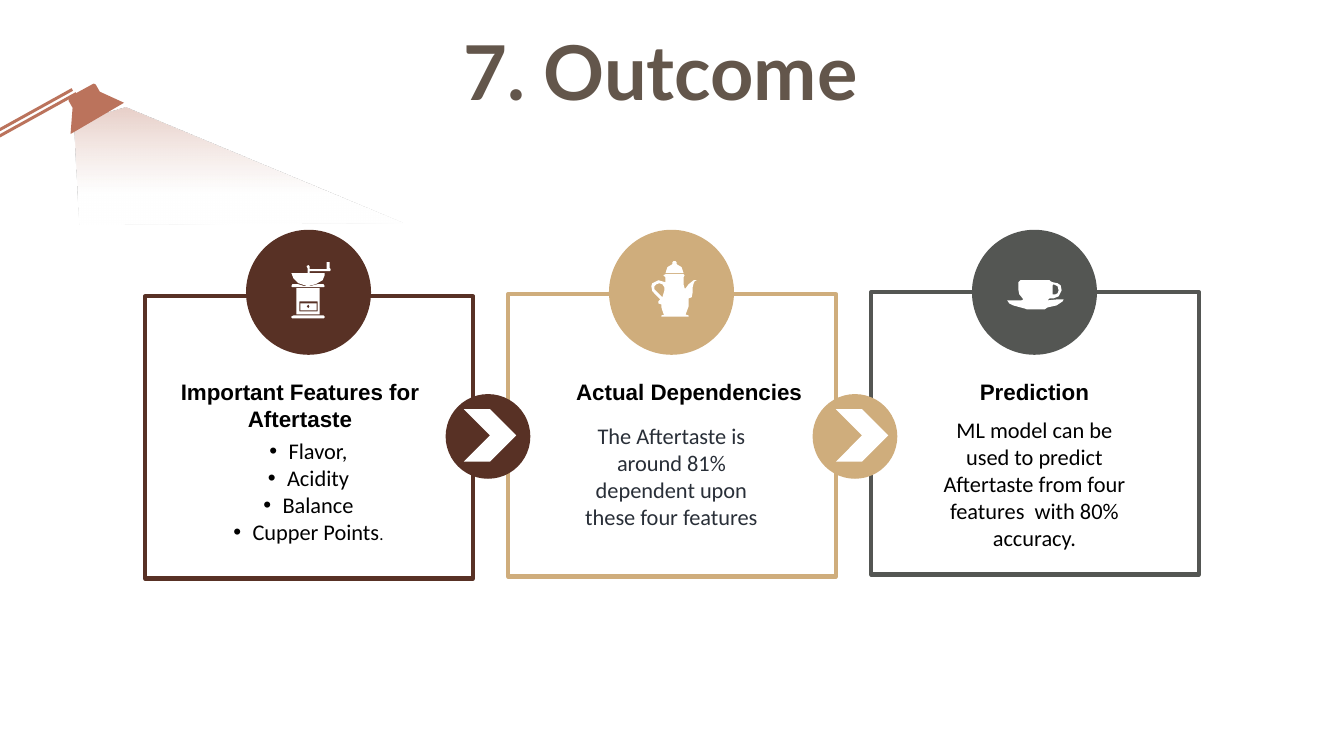
import pptx
import pptx.dml.color
import pptx.enum.shapes
import pptx.enum.text
import pptx.oxml
import pptx.oxml.ns
import pptx.util

RGBColor = pptx.dml.color.RGBColor
SHAPE = pptx.enum.shapes.MSO_SHAPE
ANCHOR = pptx.enum.text.MSO_ANCHOR

BROWN = RGBColor(0x58, 0x31, 0x25)
TAN = RGBColor(0xCF, 0xAD, 0x7C)
GREY = RGBColor(0x54, 0x56, 0x53)
TITLE = RGBColor(0x63, 0x56, 0x4B)
INK = RGBColor(0x29, 0x2F, 0x38)
LAMP = RGBColor(0xBB, 0x73, 0x5C)
GLOW = RGBColor(0xE8, 0xD0, 0xC9)
WHITE = RGBColor(0xFF, 0xFF, 0xFF)
BLACK = RGBColor(0, 0, 0)

PX = 9144  # EMU in one px, 100 px to the inch

# Icon outlines: each part is a list of contours, later contours cut holes
GRINDER = [
    # handle and bowl
    [[(328, 268), (327, 269), (307, 269), (307, 271), (322, 271), (322, 273), (320, 278),
      (313, 282), (305, 284), (296, 281), (291, 276), (289, 271), (305, 271), (305, 266),
      (304, 264), (306, 263), (307, 264), (307, 267), (324, 267), (324, 260), (327, 260),
      (327, 266), (328, 267)]],
    # base
    [[(290, 316), (289, 315), (289, 314), (291, 313), (321, 313), (322, 314), (322, 315),
      (321, 316)]],
    # body with drawer opening
    [[(294, 286), (317, 286), (317, 312), (294, 312)],
     [(297, 299), (315, 299), (315, 309), (297, 309)]],
    # collar
    [[(290, 285), (289, 284), (290, 282), (296, 282), (302, 284), (307, 284), (315, 282),
      (321, 282), (322, 284), (321, 285)]],
    # drawer with knob
    [[(298, 301), (314, 301), (314, 308), (298, 308)],
     [(306, 306), (307, 304), (306, 302), (304, 304)]],
]
TEAPOT = [
    # lid
    [[(660, 271), (662, 265), (667, 262), (667, 260), (668, 259), (670, 259), (671, 260),
      (671, 262), (676, 265), (678, 271)]],
    # body, spout and handle opening
    [[(691, 278), (688, 278), (683, 282), (680, 286), (679, 286), (678, 282), (678, 275),
      (679, 273), (678, 272), (660, 272), (658, 273), (660, 275), (660, 280), (653, 278),
      (647, 281), (646, 284), (647, 289), (650, 292), (653, 295), (655, 297), (653, 299),
      (653, 301), (656, 302), (656, 305), (658, 311), (659, 312), (656, 313), (656, 314),
      (683, 314), (683, 313), (680, 312), (683, 304), (683, 296), (686, 295), (687, 290),
      (687, 285), (688, 281), (689, 279)],
     [(657, 295), (654, 292), (649, 287), (649, 284), (651, 282), (654, 281), (657, 282),
      (659, 285), (659, 288)]],
]
CUP = [
    # cup on saucer, with handle opening
    [[(1043, 296), (1045, 296), (1050, 294), (1053, 288), (1052, 283), (1049, 281), (1044, 280),
      (1042, 279), (1041, 278), (1012, 278), (1010, 280), (1010, 287), (1011, 292), (1015, 297),
      (1013, 298), (999, 298), (1001, 301), (1005, 303), (1016, 306), (1019, 307), (1036, 307),
      (1039, 305), (1048, 303), (1054, 299), (1055, 297), (1049, 297), (1039, 298), (1041, 296)],
     [(1044, 290), (1044, 283), (1045, 282), (1049, 284), (1050, 288), (1049, 291), (1047, 292),
      (1044, 292)]],
]
BEAM = [[(74, 126), (79, 223), (399, 221), (125, 107), (84, 119)]]
LAMP_HEAD = [[(69, 96), (91, 84), (93, 83), (95, 84), (99, 91), (123, 102), (70, 133),
              (72, 107), (68, 100), (68, 97)]]


class SlideBuilder:
    """Holds the current slide and the shared text style."""

    size, font, align = 16, "Calibri", pptx.enum.text.PP_ALIGN.CENTER

    def __init__(self, slide):
        self.slide = slide

    def shape(self, preset, left, top, width, height, fill=None, line=None, rotation=0):
        item = self.slide.shapes.add_shape(
            preset, left * PX, top * PX, width * PX, height * PX)
        item.rotation = rotation
        return self.paint(item, fill, line)

    def paint(self, item, fill, line=None):
        item.shadow.inherit = False
        if fill is None:
            item.fill.background()
        else:
            item.fill.solid()
            item.fill.fore_color.rgb = fill
        if line is None:
            item.line.fill.background()
        else:
            item.line.color.rgb = line
            item.line.width = pptx.util.Pt(3)
            pptx.oxml.ns.qn("a:round")
            outline = item.line._get_or_add_ln()
            outline.append(pptx.oxml.parse_xml(f'<a:round {pptx.oxml.ns.nsdecls("a")}/>'))
        return item

    def outline(self, contours, fill):
        (start, *rest), *holes = contours
        builder = self.slide.shapes.build_freeform(*start, scale=PX)
        builder.add_line_segments(rest)
        for first, *others in holes:
            builder.move_to(*first)
            builder.add_line_segments(others)
        return self.paint(builder.convert_to_shape(), fill)

    def gradient(self, item, stops):
        """Fill from bottom to top with (percent, colour, opacity) stops."""
        item.fill.gradient()
        item.fill.gradient_angle = 90
        qn = pptx.oxml.ns.qn
        stop_list = item._element.spPr.find(qn("a:gradFill")).find(qn("a:gsLst"))
        for old in list(stop_list):
            stop_list.remove(old)
        for percent, color, opacity in stops:
            stop_list.append(pptx.oxml.parse_xml(
                f'<a:gs {pptx.oxml.ns.nsdecls("a")} pos="{percent * 1000}">'
                f'<a:srgbClr val="{color}"><a:alpha val="{opacity * 1000}"/></a:srgbClr></a:gs>'))

    def text(self, lines, left, top, width, height, color=BLACK, size=None, font=None,
             bold=False, anchor=ANCHOR.TOP, bullets=False):
        box = self.slide.shapes.add_textbox(left * PX, top * PX, width * PX, height * PX)
        frame = box.text_frame
        frame.word_wrap = True
        frame.vertical_anchor = anchor
        frame.text = "\n".join(lines)
        for paragraph in frame.paragraphs:
            paragraph.alignment = self.align
            if bullets:
                self.bullet(paragraph)
            for run in paragraph.runs:
                run.font.size = pptx.util.Pt(size or self.size)
                run.font.name = font or self.font
                run.font.bold = bold
                run.font.color.rgb = color
        return frame

    def bullet(self, paragraph, indent=19):
        properties = paragraph._p.get_or_add_pPr()
        properties.set("marL", str(indent * PX))
        properties.set("indent", str(-indent * PX))
        for tag in ('buFont {} typeface="Arial"', 'buChar {} char="•"'):
            properties.append(pptx.oxml.parse_xml(
                f'<a:{tag.format(pptx.oxml.ns.nsdecls("a"))}/>'))


def main():
    deck = pptx.Presentation()
    deck.slide_width, deck.slide_height = 1333 * PX, 750 * PX
    page = SlideBuilder(deck.slides.add_slide(deck.slide_layouts[6]))

    page.text(["7. Outcome"], 76, 11, 1158, 118, TITLE, 54, "Lato", True, ANCHOR.MIDDLE)

    # Cards: colour, icon, heading (text, left, width, height), body (lines, top, height, colour)
    cards = [
        (BROWN, GRINDER, ("Important Features for Aftertaste", 135, 325, 64),
         (["Flavor,", "Acidity", "Balance", "Cupper Points"], 429, 118, BLACK)),
        (TAN, TEAPOT, ("Actual Dependencies", 556, 255, 37),
         (["The Aftertaste is around 81% dependent upon these four features"], 414, 118, INK)),
        (GREY, CUP, ("Prediction", 916, 220, 37),
         (["ML model can be used to predict Aftertaste from four features  with 80% accuracy."],
          408, 145, BLACK)),
    ]
    for index, (color, icon, heading, body) in enumerate(cards):
        left = 144 + 360 * index
        page.shape(SHAPE.RECTANGLE, left, 294 - 2 * index, 325, 280, line=color)
        page.shape(SHAPE.OVAL, left + 100, 228, 124, 124, color)
        for part in icon:
            page.outline(part, WHITE)

        title, title_left, title_width, title_height = heading
        page.text([title], title_left, 370, title_width, title_height, font="Arial", bold=True)

        lines, top, height, ink = body
        bullets = len(lines) > 1
        frame = page.text(lines, left + 52, top, 220, height, ink, bullets=bullets)
        if bullets:
            stop = frame.paragraphs[-1].add_run()
            stop.text = "."
            stop.font.size = pptx.util.Pt(12)
            stop.font.name = page.font
            stop.font.color.rgb = ink

    # Arrow badges between the cards
    for badge_left, chevron_left, color in ((442, 460, BROWN), (806, 829, TAN)):
        page.shape(SHAPE.OVAL, badge_left, 391, 84, 84, color)
        page.shape(SHAPE.CHEVRON, chevron_left, 406, 52, 52, WHITE)

    # Lamp: beam, twin arms and head
    beam = page.outline(BEAM, GLOW)
    page.gradient(beam, [(0, WHITE, 20), (27, WHITE, 80), (100, GLOW, 100)])
    for arm_left, arm_top in ((23, 61), (27, 65)):
        page.shape(SHAPE.RECTANGLE, arm_left, arm_top, 3, 108, LAMP, rotation=61)
    page.outline(LAMP_HEAD, LAMP)

    deck.save("out.pptx")


if __name__ == "__main__":
    main()
